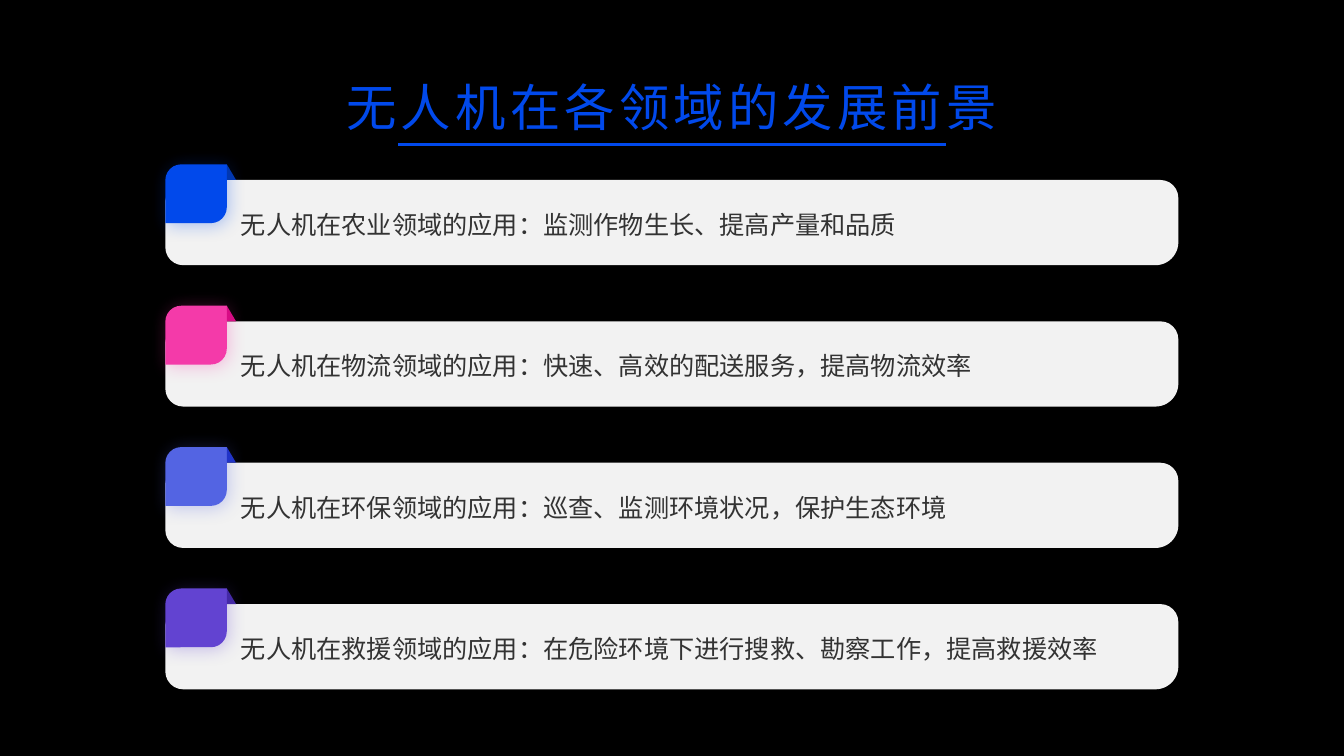
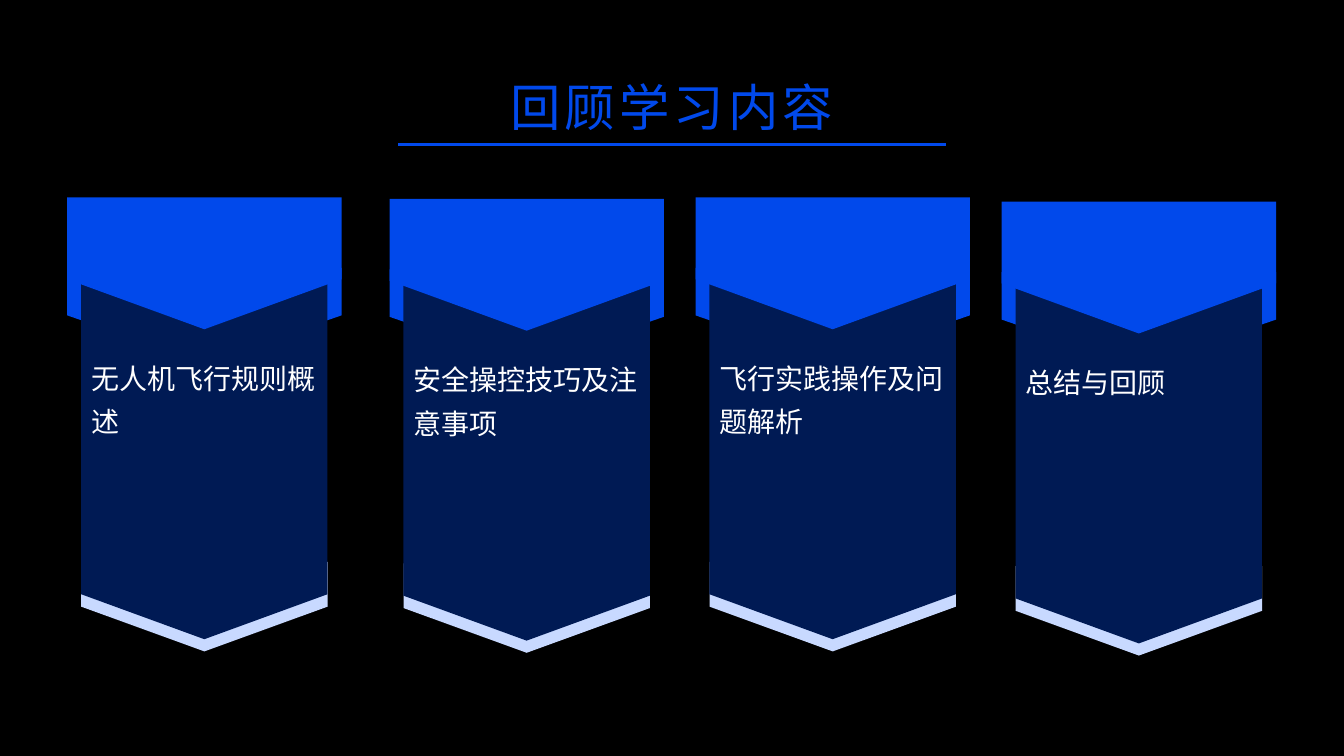
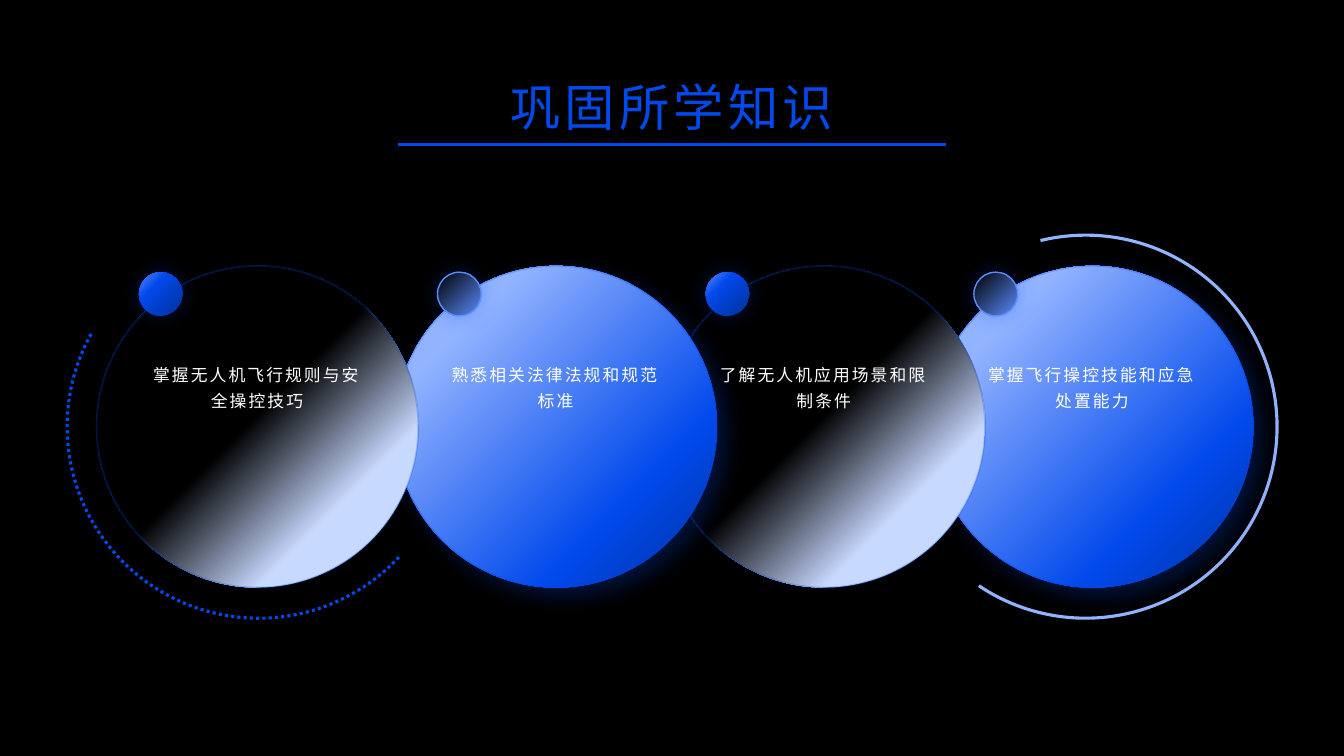
"""Build three dark slides on drone training: prospects, review and consolidation."""
from lxml.etree import SubElement
from pptx import Presentation
from pptx.dml.color import RGBColor
from pptx.enum.dml import MSO_LINE
from pptx.enum.shapes import MSO_CONNECTOR, MSO_SHAPE
from pptx.enum.text import MSO_ANCHOR, PP_ALIGN
from pptx.oxml.ns import qn
from pptx.util import Emu, Inches, Pt

CARD = MSO_SHAPE.ROUND_2_DIAG_RECTANGLE
FOLD = MSO_SHAPE.RIGHT_TRIANGLE
ARROW = MSO_SHAPE.PENTAGON
CIRCLE = MSO_SHAPE.OVAL
ARC = MSO_SHAPE.ARC
STRAIGHT = MSO_CONNECTOR.STRAIGHT
DOTTED = MSO_LINE.ROUND_DOT
TOP, MIDDLE = MSO_ANCHOR.TOP, MSO_ANCHOR.MIDDLE
LEFT, CENTER = PP_ALIGN.LEFT, PP_ALIGN.CENTER

BLACK = RGBColor(0x00, 0x00, 0x00)
WHITE = RGBColor(0xFF, 0xFF, 0xFF)
CHARCOAL = RGBColor(0x33, 0x33, 0x33)
LIGHT_GRAY = RGBColor(0xF2, 0xF2, 0xF2)
BLUE = RGBColor(0x01, 0x49, 0xEB)
DEEP_BLUE = RGBColor(0x01, 0x37, 0xB0)
NAVY = RGBColor(0x00, 0x1A, 0x54)
SKY = RGBColor(0x5B, 0x8D, 0xFE)
LIGHT_BLUE = RGBColor(0x92, 0xB3, 0xFF)
PALE_BLUE = RGBColor(0xC8, 0xD9, 0xFF)
PINK = RGBColor(0xF4, 0x3A, 0xA9)
DEEP_PINK = RGBColor(0xD7, 0x0C, 0x85)
INDIGO = RGBColor(0x53, 0x64, 0xE3)
DEEP_INDIGO = RGBColor(0x21, 0x34, 0xC8)
PURPLE = RGBColor(0x62, 0x43, 0xD1)
DEEP_PURPLE = RGBColor(0x44, 0x29, 0xA6)

FONT = "Roboto"
COLUMNS = 160
SLIDE_WIDTH, SLIDE_HEIGHT = Emu(12192000), Inches(7.5)
CELL = SLIDE_WIDTH // COLUMNS


def add_text(slide, text, left, top, width, height, size=12, color=WHITE, align=LEFT,
             anchor=TOP, line_spacing=1.0, tracking=0, insets=(0.1, 0.05, 0.1, 0.05)):
    text_box = slide.shapes.add_textbox(*(Emu(round(cells * CELL)) for cells in (left, top, width, height)))
    frame = text_box.text_frame
    frame.word_wrap = True
    frame.vertical_anchor = anchor
    frame.margin_left, frame.margin_top, frame.margin_right, frame.margin_bottom = map(Inches, insets)
    paragraph = frame.paragraphs[0]
    paragraph.alignment = align
    paragraph.line_spacing = line_spacing
    run = paragraph.add_run()
    run.text = text
    run.font.size = Pt(size)
    run.font.name = FONT
    run.font.color.rgb = color
    properties = run.font._element
    properties.set("lang", "zh-CN")
    properties.set("spc", str(round(tracking * 100)))
    SubElement(properties, qn("a:ea"), typeface=FONT)


def add_figure(slide, kind, left, top, width, height, fill=None, stops=None, line=None,
               line_width=1, line_opacity=100, shadow=None, adjustments=()):
    shape = slide.shapes.add_shape(kind, *(Emu(round(cells * CELL)) for cells in (left, top, width, height)))
    for index, value in enumerate(adjustments):
        shape.adjustments[index] = value
    if stops:
        shape.fill.gradient()
        gradient = shape._element.spPr.find(qn("a:gradFill"))
        gradient.clear()
        stop_list = SubElement(gradient, qn("a:gsLst"))
        for position, color in stops:
            stop = SubElement(stop_list, qn("a:gs"), pos=str(position * 1000))
            SubElement(stop, qn("a:srgbClr"), val=str(color))
        focus = SubElement(gradient, qn("a:path"), path="circle")
        SubElement(focus, qn("a:fillToRect"), r="100000", b="100000")
    elif fill is not None:
        shape.fill.solid()
        shape.fill.fore_color.rgb = fill
    else:
        shape.fill.background()
    if line is None:
        shape.line.fill.background()
    else:
        shape.line.color.rgb = line
        shape.line.width = Pt(line_width)
        line_color = shape._element.spPr.find(qn("a:ln")).find(".//" + qn("a:srgbClr"))
        SubElement(line_color, qn("a:alpha"), val=str(line_opacity * 1000))
    shape.shadow.inherit = False
    if shadow:
        color, opacity, blur, distance, angle = shadow
        outer = SubElement(shape._element.spPr.find(qn("a:effectLst")), qn("a:outerShdw"),
                           blurRad=str(Pt(blur)), dist=str(Pt(distance)), dir=str(angle * 60000),
                           algn="ctr", rotWithShape="0")
        shadow_color = SubElement(outer, qn("a:srgbClr"), val=str(color))
        SubElement(shadow_color, qn("a:alpha"), val=str(opacity * 1000))
    return shape


presentation = Presentation()
presentation.slide_width, presentation.slide_height = SLIDE_WIDTH, SLIDE_HEIGHT
background = presentation.slide_master.background.fill
background.solid()
background.fore_color.rgb = BLACK

slides = []
for title in ("无人机在各领域的发展前景", "回顾学习内容", "巩固所学知识"):
    slide = presentation.slides.add_slide(presentation.slide_layouts[6])
    rule_y = round(17.2 * CELL)
    rule = slide.shapes.add_connector(STRAIGHT, round(47.4 * CELL), rule_y, round(112.6 * CELL), rule_y)
    rule.line.color.rgb = BLUE
    rule.line.width = Pt(2)
    SubElement(rule._element.spPr, qn("a:effectLst"))
    add_text(slide, title, 8, 8, 144, 9.2, size=36, color=BLUE, align=CENTER, anchor=MIDDLE, tracking=3)
    slides.append(slide)
prospects, review, knowledge = slides

FIELDS = (
    ("无人机在农业领域的应用：监测作物生长、提高产量和品质", BLUE, DEEP_BLUE),
    ("无人机在物流领域的应用：快速、高效的配送服务，提高物流效率", PINK, DEEP_PINK),
    ("无人机在环保领域的应用：巡查、监测环境状况，保护生态环境", INDIGO, DEEP_INDIGO),
    ("无人机在救援领域的应用：在危险环境下进行搜救、勘察工作，提高救援效率", PURPLE, DEEP_PURPLE),
)
for row, (text, color, fold_color) in enumerate(FIELDS):
    top = 21.43 + 16.83 * row
    tab_top = top - 1.86
    add_figure(prospects, CARD, 19.68, top, 120.6, 10.15, fill=LIGHT_GRAY,
               shadow=(BLACK, 23, 20, 3, 107), adjustments=(0.27, 0.21))
    add_figure(prospects, CARD, 19.68, tab_top, 7.32, 7, fill=color,
               shadow=(color, 31, 13, 2, 45), adjustments=(0.27, 0))
    add_figure(prospects, FOLD, 27, tab_top, 1.1, 1.86, fill=fold_color)
    add_text(prospects, text, 27.5, top + 0.12, 109, 9.96, size=18, color=CHARCOAL, anchor=MIDDLE,
             line_spacing=1.5, insets=(0.1, 0, 0.1, 0.12))

HEADER_WIDTH, INSET = 32.66, 1.67
BODY_WIDTH = HEADER_WIDTH - 2 * INSET
BANNERS = (
    ("无人机飞行规则概述", 8, 23.5),
    ("安全操控技巧及注意事项", 46.37, 23.67),
    ("飞行实践操作及问题解析", 82.8, 23.5),
    ("总结与回顾", 119.25, 24),
)
for text, left, top in BANNERS:
    body_left = left + INSET
    center = left + HEADER_WIDTH / 2
    for width, offset, depth, color in ((HEADER_WIDTH, 8.4, 11.3, BLUE), (BODY_WIDTH, 43.4, 10.65, PALE_BLUE)):
        arrow = add_figure(review, ARROW, center - depth / 2, top + offset + (depth - width) / 2,
                           depth, width, fill=color)
        arrow.rotation = 90
    for x, width, start, shoulder, tip, color in (
        (body_left, BODY_WIDTH, 8.4, 47.25, 52.6, NAVY),
        (left, HEADER_WIDTH, 0, 9.75, 15.7, BLUE),
    ):
        outline = [(x, start), (x + width, start), (x + width, shoulder), (center, tip), (x, shoulder)]
        points = [(across * CELL, (top + down) * CELL) for across, down in outline]
        builder = review.shapes.build_freeform(*points[0])
        builder.add_line_segments(points[1:], close=True)
        pennant = builder.convert_to_shape()
        pennant.fill.solid()
        pennant.fill.fore_color.rgb = color
        pennant.line.fill.background()
        pennant.shadow.inherit = False
    add_text(review, text, body_left, top + 17.7, BODY_WIDTH, 26.4, size=20, line_spacing=1.3)

add_figure(knowledge, ARC, 106.44, 28, 45.6, 45.6, line=LIGHT_BLUE, line_width=2.25,
           adjustments=(153.83, 74.3))
dotted_arc = add_figure(knowledge, ARC, 8, 28, 45.6, 45.6, line=BLUE, line_width=2.25,
                        adjustments=(25.76, 125.85))
dotted_arc.line.dash_style = DOTTED

GLOW = (BLUE, 28, 15, 0, 0)
BRIGHT_DISC = {"stops": ((20, LIGHT_BLUE), (73, BLUE), (94, DEEP_BLUE)), "shadow": (BLUE, 25, 16, 8, 45)}
DARK_DISC = {"stops": ((48, BLACK), (75, PALE_BLUE))}
BRIGHT_DOT = {"stops": ((0, SKY), (33, BLUE), (82, DEEP_BLUE))}
DARK_DOT = {"stops": ((0, BLACK), (100, SKY)), "line": SKY}
GOALS = (
    ("掌握飞行操控技能和应急处置能力", 110.9, BRIGHT_DISC, DARK_DOT),
    ("了解无人机应用场景和限制条件", 78.97, DARK_DISC, BRIGHT_DOT),
    ("熟悉相关法律法规和规范标准", 47.04, BRIGHT_DISC, DARK_DOT),
    ("掌握无人机飞行规则与安全操控技巧", 11.5, DARK_DISC, BRIGHT_DOT),
)
for text, left, disc_format, dot_format in GOALS:
    add_figure(knowledge, CIRCLE, left, 31.65, 38.3, 38.3, line=BLUE, line_width=1.25,
               line_opacity=25, **disc_format)
    add_figure(knowledge, CIRCLE, left + 5.04, 32.4, 5.2, 5.2, shadow=GLOW, **dot_format)
    add_text(knowledge, text, left + 5.9, 42.72, 26.4, 18.1, align=CENTER, line_spacing=1.3,
             tracking=1.5, insets=(0, 0, 0, 0))

presentation.save("out.pptx")
